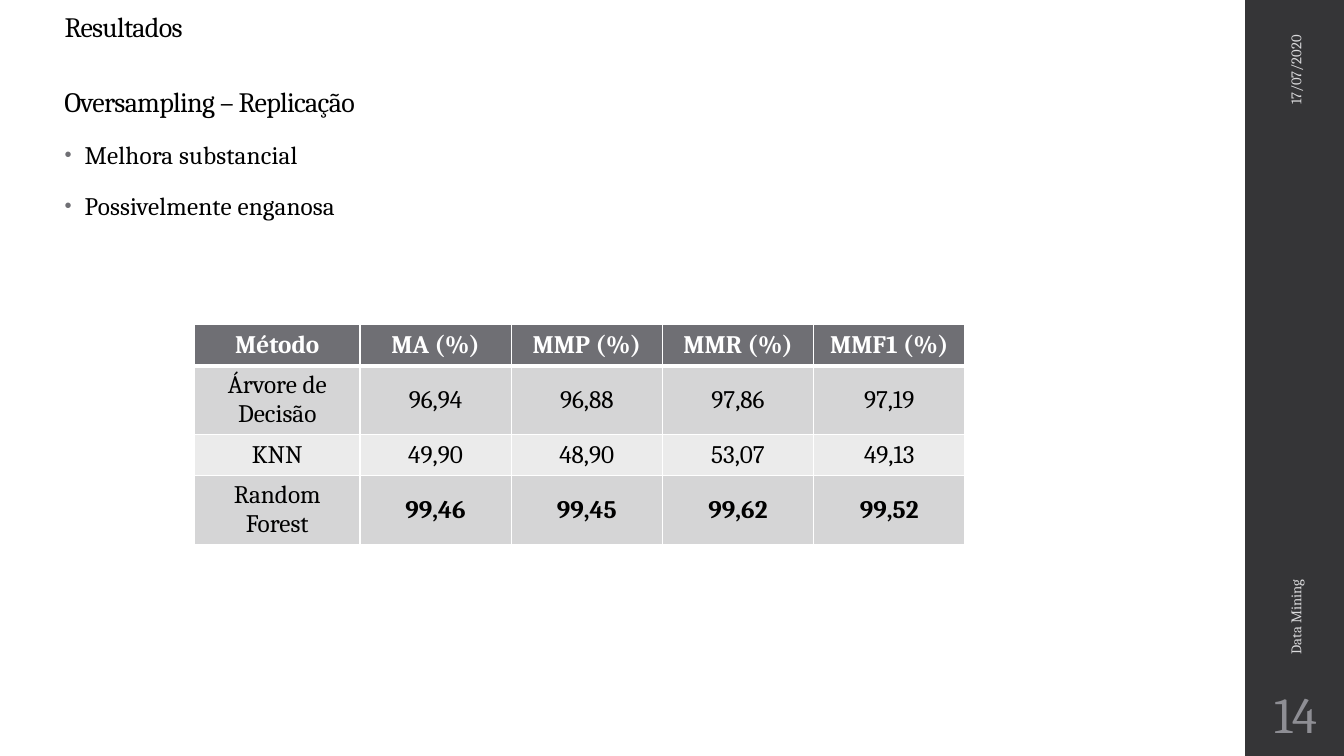
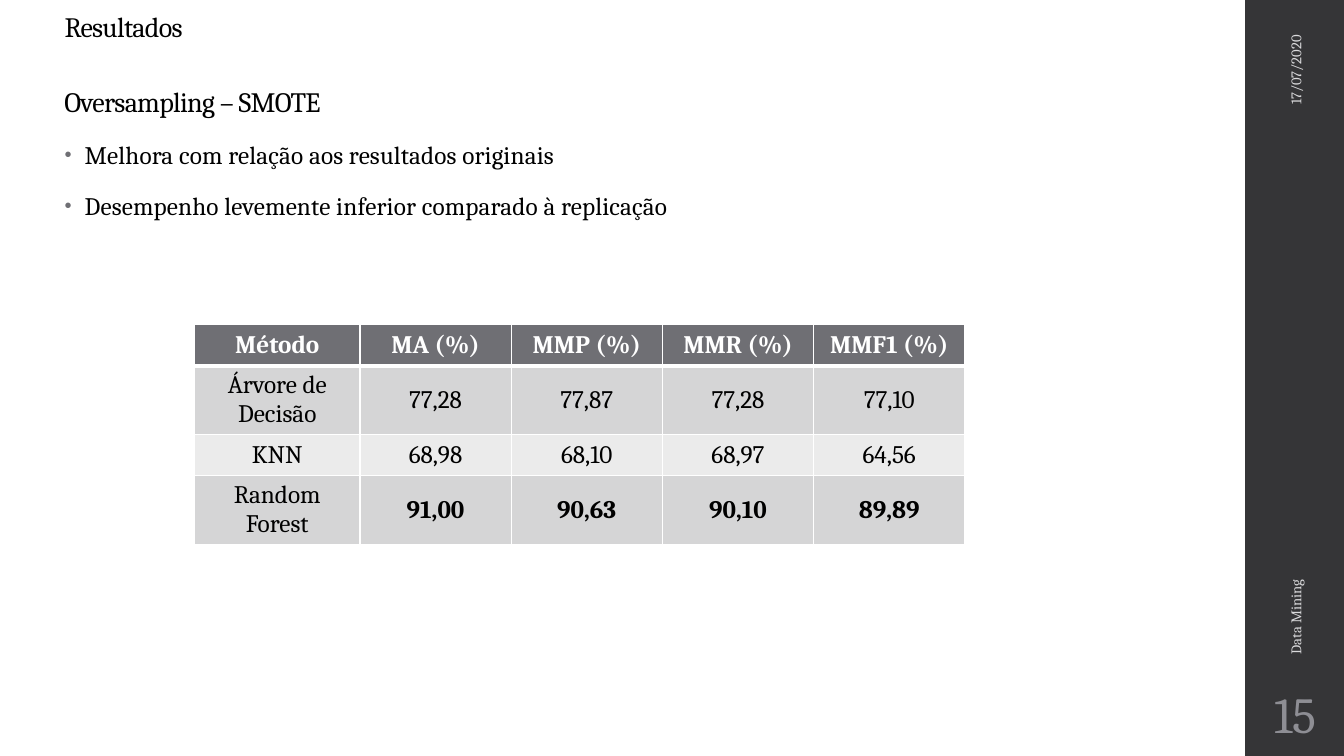
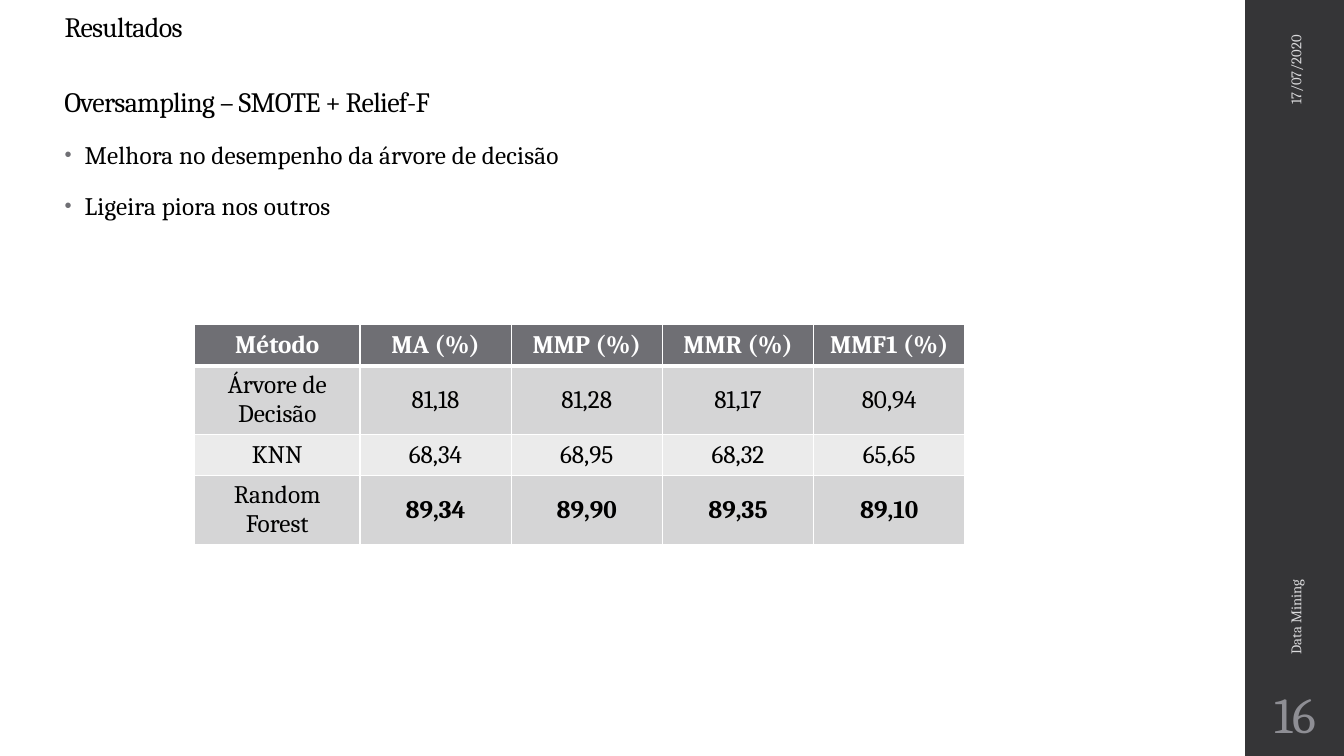
from lxml import etree
from pptx import Presentation
from pptx.dml.color import RGBColor
from pptx.enum.shapes import MSO_SHAPE
from pptx.enum.text import MSO_ANCHOR, MSO_AUTO_SIZE, PP_ALIGN
from pptx.oxml.ns import qn
from pptx.util import Inches, Pt

LEFT, CENTER, RIGHT = PP_ALIGN.LEFT, PP_ALIGN.CENTER, PP_ALIGN.RIGHT
TOP, MIDDLE, BOTTOM = MSO_ANCHOR.TOP, MSO_ANCHOR.MIDDLE, MSO_ANCHOR.BOTTOM
NO_FIT = MSO_AUTO_SIZE.NONE
RECTANGLE = MSO_SHAPE.RECTANGLE

FONT = "Cambria"
BLACK, WHITE, GRAY = "000000", "FFFFFF", "6F6F74"
BAND, BAND_TEXT, NUMBER = "353537", "D9D9DB", "8E8E94"
ROW_FILLS = ("D5D5D6", "EBEBEB")

WIDTH, HEIGHT = 13.33, 7.5
MARGIN, BAND_LEFT, BAND_WIDTH = 0.54, 12.35, 1
TITLE_WIDTH = 11.79
TABLE_BOX = (1.93, 3.22, 7.62, 2.21)
COLUMN_WIDTHS = (1.64, 1.5, 1.5, 1.5, 1.5)
ROW_HEIGHTS = (0.41, 0.68, 0.41, 0.68)

TITLE = "Resultados"
FOOTER = "Data Mining"
DATE = "17/07/2020"
FIRST_NUMBER = 14
HEADINGS = ("Método", "MA (%)", "MMP (%)", "MMR (%)", "MMF1 (%)")
METHODS = ("Árvore de Decisão", "KNN", "Random Forest")
BEST_METHOD = "Random Forest"

RESULTS = [
    {
        "subtitle": "Oversampling – Replicação",
        "bullets": ["Melhora substancial", "Possivelmente enganosa"],
        "scores": [
            ("96,94", "96,88", "97,86", "97,19"),
            ("49,90", "48,90", "53,07", "49,13"),
            ("99,46", "99,45", "99,62", "99,52"),
        ],
    },
    {
        "subtitle": "Oversampling – SMOTE",
        "bullets": [
            "Melhora com relação aos resultados originais",
            "Desempenho levemente inferior comparado à replicação",
        ],
        "scores": [
            ("77,28", "77,87", "77,28", "77,10"),
            ("68,98", "68,10", "68,97", "64,56"),
            ("91,00", "90,63", "90,10", "89,89"),
        ],
    },
    {
        "subtitle": "Oversampling – SMOTE + Relief-F",
        "bullets": [
            "Melhora no desempenho da árvore de decisão",
            "Ligeira piora nos outros",
        ],
        "scores": [
            ("81,18", "81,28", "81,17", "80,94"),
            ("68,34", "68,95", "68,32", "65,65"),
            ("89,34", "89,90", "89,35", "89,10"),
        ],
    },
]


def color(value):
    return RGBColor.from_string(value)


def paint(shape, value):
    shape.fill.solid()
    shape.fill.fore_color.rgb = color(value)


def place(shape, box):
    shape.left, shape.top, shape.width, shape.height = map(Inches, box)


def write(paragraph, text, size, ink, align=LEFT, bold=False, tracking=0):
    paragraph.alignment = align
    run = paragraph.add_run()
    run.text = text
    run.font.name = FONT
    run.font.size = Pt(size)
    run.font.bold = bold
    run.font.color.rgb = color(ink)
    if tracking:
        run.font._element.set("spc", str(tracking))


def prepare(shape, anchor):
    frame = shape.text_frame
    frame.word_wrap = True
    frame.auto_size = NO_FIT
    frame.vertical_anchor = anchor
    return frame


def write_heading(shape, box, text):
    place(shape, box)
    paragraph = prepare(shape, BOTTOM).paragraphs[0]
    paragraph.line_spacing = 0.9
    write(paragraph, text, 20, BLACK, tracking=-50)


def add_bullet(paragraph):
    properties = paragraph._p.get_or_add_pPr()
    properties.set("marL", str(Inches(0.2)))
    properties.set("indent", str(-Inches(0.2)))
    bullet_color = etree.SubElement(properties, qn("a:buClr"))
    etree.SubElement(bullet_color, qn("a:srgbClr"), val=GRAY)
    etree.SubElement(properties, qn("a:buSzPct"), val="80000")
    etree.SubElement(properties, qn("a:buChar"), char="•")


def write_bullets(shape, bullets):
    place(shape, (MARGIN, 1.35, 10.4, 5.68))
    frame = prepare(shape, TOP)
    for index, text in enumerate(bullets):
        paragraph = frame.add_paragraph() if index else frame.paragraphs[0]
        paragraph.line_spacing = 0.95
        paragraph.space_before, paragraph.space_after = Pt(14), Pt(2)
        add_bullet(paragraph)
        write(paragraph, text, 18, BLACK, tracking=10)


def add_label(slide, box, text, size, ink, align, rotation=0):
    label = slide.shapes.add_textbox(*map(Inches, box))
    label.rotation = rotation
    write(prepare(label, MIDDLE).paragraphs[0], text, size, ink, align)
    return label


def add_band_labels(slide, number):
    add_label(slide, (10.89, 4.43, 3.92, 0.4), FOOTER, 10.5, BAND_TEXT, LEFT, 270)
    label = add_label(slide, (BAND_LEFT, 6.75, BAND_WIDTH, 0.65), str(number), 36, NUMBER, CENTER)
    frame = label.text_frame
    frame.margin_left = frame.margin_right = Inches(0.05)
    add_label(slide, (11.81, 1.09, 2.08, 0.4), DATE, 10.5, BAND_TEXT, RIGHT, 270)


def set_borders(cell, widths):
    properties = cell._tc.get_or_add_tcPr()
    for side, width in zip("LRTB", widths):
        line = etree.SubElement(properties, qn("a:ln" + side), w=str(Pt(width)))
        fill = etree.SubElement(line, qn("a:solidFill"))
        etree.SubElement(fill, qn("a:srgbClr"), val=WHITE)


def add_score_table(slide, scores):
    rows = [HEADINGS] + [(method, *values) for method, values in zip(METHODS, scores)]
    table = slide.shapes.add_table(len(rows), len(HEADINGS), *map(Inches, TABLE_BOX)).table
    for column, width in zip(table.columns, COLUMN_WIDTHS):
        column.width = Inches(width)
    for row, height in zip(table.rows, ROW_HEIGHTS):
        row.height = Inches(height)
    for row_index, values in enumerate(rows):
        header = row_index == 0
        for column_index, text in enumerate(values):
            cell = table.cell(row_index, column_index)
            is_score = not header and column_index > 0
            set_borders(cell, (1, 1, 3 if row_index == 1 else 1, 3 if header else 1))
            paint(cell, GRAY if header else ROW_FILLS[(row_index - 1) % 2])
            cell.vertical_anchor = MIDDLE
            if is_score:
                cell.margin_left = cell.margin_right = Inches(0.07)
                cell.margin_top = cell.margin_bottom = 0
            bold = header or (is_score and values[0] == BEST_METHOD)
            write(cell.text_frame.paragraphs[0], text, 18, WHITE if header else BLACK, CENTER, bold)


def add_master_band(presentation, slide):
    box = (BAND_LEFT, 0, BAND_WIDTH, HEIGHT)
    band = slide.shapes.add_shape(RECTANGLE, *map(Inches, box))
    band.shadow.inherit = False
    paint(band, BAND)
    band.line.fill.background()
    presentation.slide_master.shapes._spTree.insert(2, band._element)


def main():
    presentation = Presentation()
    presentation.slide_width, presentation.slide_height = Inches(WIDTH), Inches(HEIGHT)
    for index, result in enumerate(RESULTS):
        slide = presentation.slides.add_slide(presentation.slide_layouts[1])
        if index == 0:
            add_master_band(presentation, slide)
        write_heading(slide.shapes.title, (MARGIN, 0.1, TITLE_WIDTH, 0.38), TITLE)
        write_bullets(slide.placeholders[1], result["bullets"])
        subtitle = slide.shapes.add_textbox(0, 0, 0, 0)
        write_heading(subtitle, (MARGIN, 0.49, TITLE_WIDTH, 0.74), result["subtitle"])
        add_band_labels(slide, FIRST_NUMBER + index)
        add_score_table(slide, result["scores"])
    presentation.save("out.pptx")


if __name__ == "__main__":
    main()
